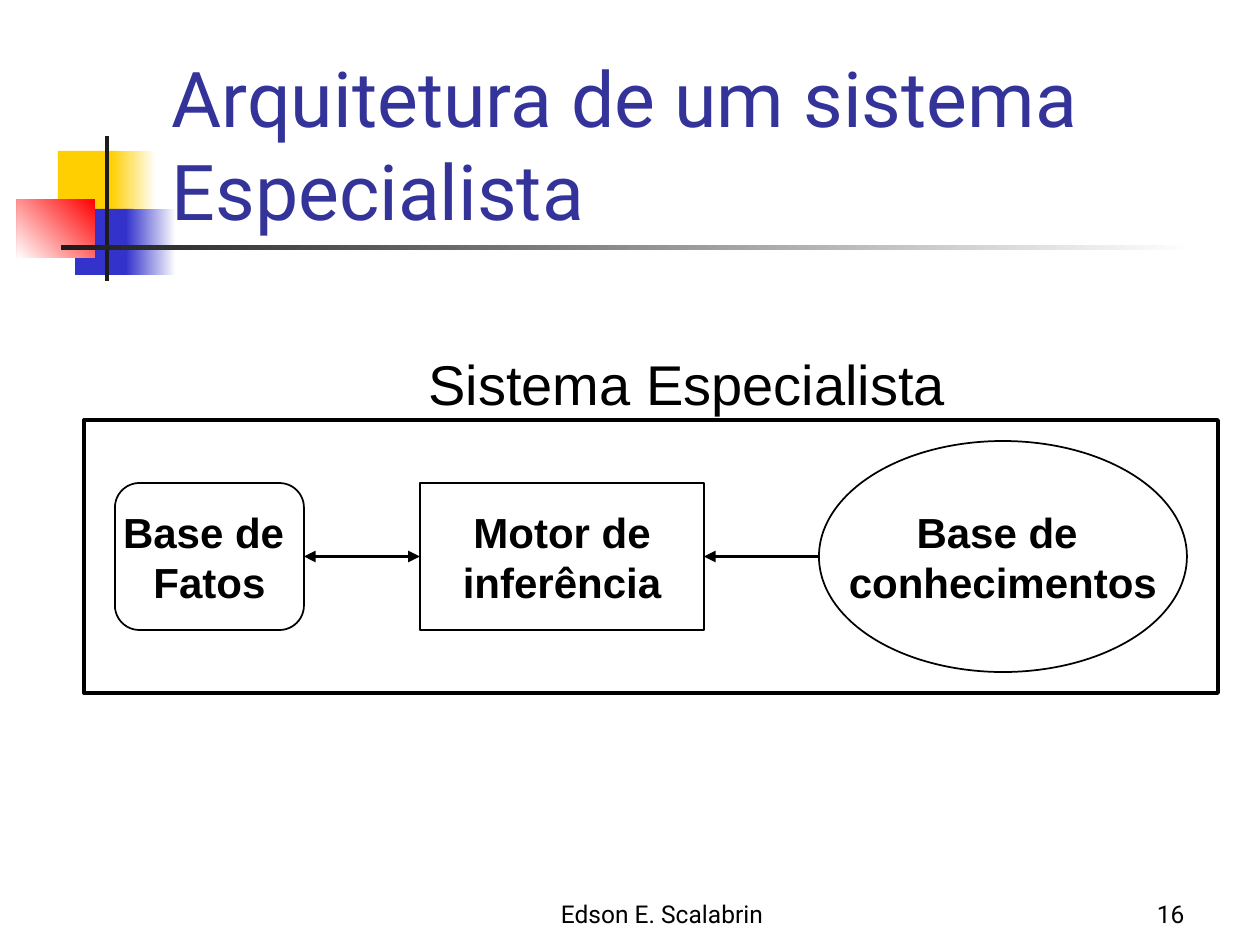
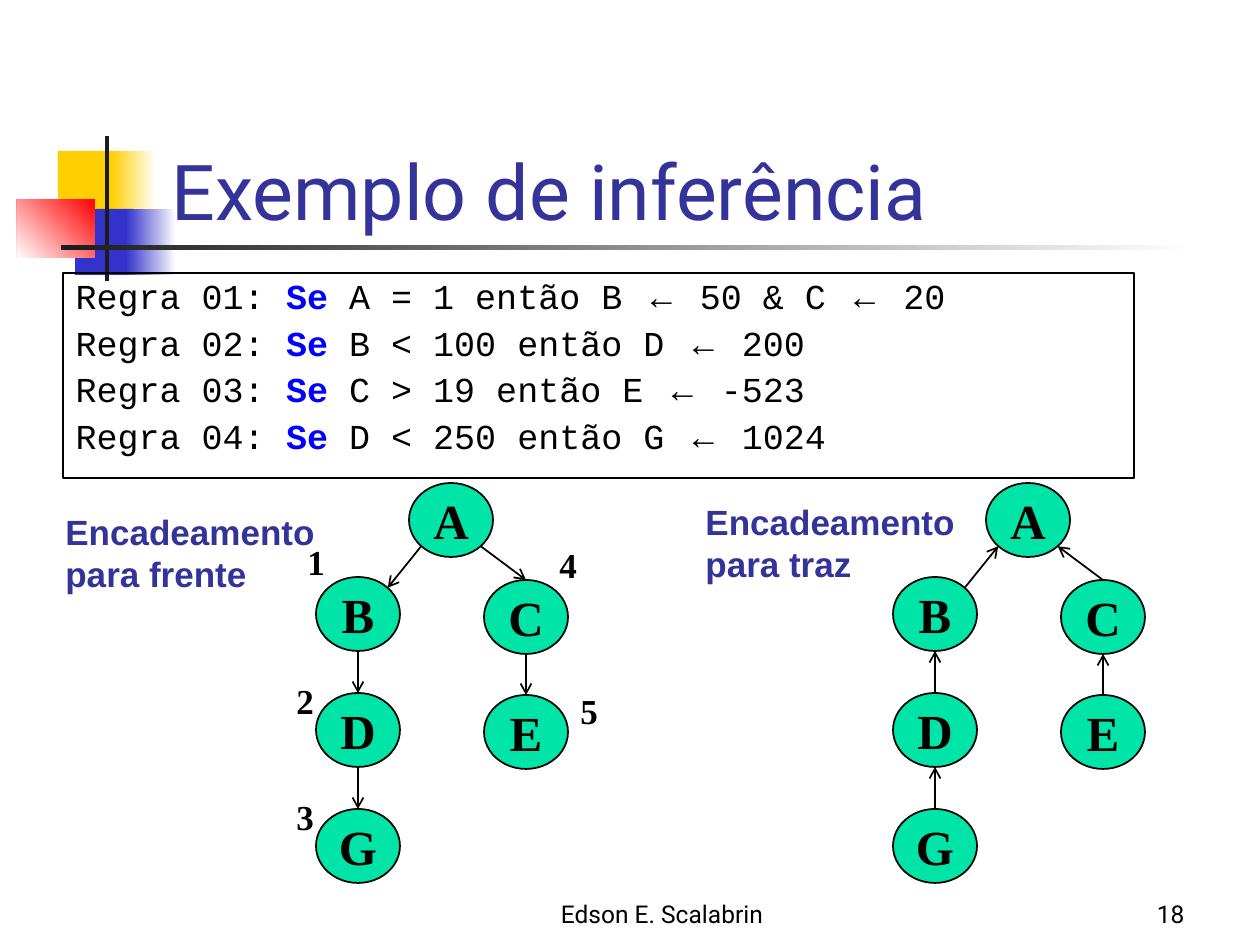
from lxml.etree import SubElement
from pptx import Presentation
from pptx.dml.color import RGBColor
from pptx.enum.shapes import MSO_CONNECTOR, MSO_SHAPE as SHAPE
from pptx.enum.text import MSO_ANCHOR as ANCHOR, MSO_AUTO_SIZE as AUTO, PP_ALIGN as ALIGN
from pptx.oxml.ns import qn
from pptx.util import Emu, Pt

PX = 914400 / 126
BLACK, WHITE, INK = "000000", "FFFFFF", "1C1C1C"
YELLOW, BLUE, RED = "FFCF01", "3333CC", "FF0000"
TITLE_BLUE, KEYWORD_BLUE, NODE_GREEN = "333399", "0000FF", "00E4A8"
AUTHOR = "Edson E. Scalabrin"

# box, fill: one colour, or (start, end, counter-clockwise angle)
ORNAMENT = [
    ((58, 151, 60, 66), YELLOW),
    ((111, 151, 45, 66), (WHITE, YELLOW, 180)),
    ((75, 209, 58, 66), BLUE),
    ((126, 209, 50, 66), (WHITE, BLUE, 180)),
    ((17, 199, 78, 59), (RED, WHITE, 225)),
    ((105, 136, 4, 145), INK),
    ((61, 245, 1134, 5), (WHITE, INK, 180)),
]
TITLE_BOX = (159, 84, 1074, 158)
AUTHOR_BOX = (462, 872, 400, 63)
NUMBER_BOX = (935, 872, 262, 63)

FRAME_BOX = (84, 420, 1134, 273)
FRAME_LABEL = ("Sistema Especialista", (416, 343, 600, 80))
COMPONENTS = {
    "knowledge": (SHAPE.OVAL, (819, 441, 368, 231), "Base de \nconhecimentos"),
    "facts": (SHAPE.ROUNDED_RECTANGLE, (115, 483, 189, 147), "Base de \nFatos"),
    "engine": (SHAPE.RECTANGLE, (420, 483, 284, 147), "Motor de\ninferência"),
}

RULES_BOX = (63, 273, 1071, 205)
RULES = [
    ("Regra 01: ", " A = 1 então B ", " 50 & C ", " 20"),
    ("Regra 02: ", " B < 100 então D ", " 200"),
    ("Regra 03: ", " C > 19 então E ", " -523"),
    ("Regra 04: ", " D < 250 então G ", " 1024"),
]
NODE_W, NODE_H = 84, 74
# offsets from the root node
NODES = {"A": (0, 0), "B": (-93, 94), "G": (-93, 326),
         "D": (-93, 210), "C": (75, 97), "E": (75, 212)}
DOWN, UP = (0, 1), (0, -1)
EDGES = [
    ("A", (-1, 1), "B", (1, -1)),
    ("B", DOWN, "D", UP),
    ("D", DOWN, "G", UP),
    ("A", (1, 1), "C", UP),
    ("C", DOWN, "E", UP),
]
STEPS = {"1": (-114, 51), "2": (-125, 190), "3": (-125, 306),
         "4": (138, 54), "5": (159, 200)}
TREES = [
    dict(root=(986, 483), heads={"head": "arrow"}, steps={},
         label="Encadeamento \npara traz", label_box=(693, 494, 284, 97)),
    dict(root=(409, 483), heads={"tail": "arrow"}, steps=STEPS,
         label="Encadeamento \npara frente", label_box=(53, 504, 284, 97)),
]


def px(*values):
    return [Emu(round(v * PX)) for v in values]


def rgb(color):
    return RGBColor.from_string(color)


def write(shape, text, size=24, font="Arial", color=BLACK, bold=False, align=ALIGN.LEFT,
          anchor=ANCHOR.TOP, wrap=True, auto=AUTO.NONE, before=0, spacing=None):
    """Fill a shape with a string, or with paragraphs of (text, changes) runs."""
    tf = shape.text_frame
    tf.word_wrap, tf.auto_size, tf.vertical_anchor = wrap, auto, anchor
    paragraphs = [[(text, {})]] if isinstance(text, str) else text
    for i, runs in enumerate(paragraphs):
        p = tf.add_paragraph() if i else tf.paragraphs[0]
        p.alignment, p.space_before, p.line_spacing = align, Pt(before), spacing
        for run_text, changes in runs:
            look = {"font": font, "color": color, "bold": bold, **changes}
            for n, line in enumerate(run_text.split("\n")):
                if n:
                    p.add_line_break()
                r = p.add_run()
                r.text = line
                r.font.size, r.font.name, r.font.bold = Pt(size), look["font"], look["bold"]
                r.font.color.rgb = rgb(look["color"])


def add_box(shapes, kind, box, fill, line=None):
    """Add a shape; fill is a colour or (start, end, angle), line a width in points."""
    shape = shapes.add_shape(kind, *px(*box))
    shape.shadow.inherit = False
    if isinstance(fill, str):
        shape.fill.solid()
        shape.fill.fore_color.rgb = rgb(fill)
    else:
        *colors, angle = fill
        shape.fill.gradient()
        shape.fill.gradient_angle = angle
        for stop, color in zip(shape.fill.gradient_stops, colors):
            stop.color.rgb = rgb(color)
    if line:
        shape.line.color.rgb, shape.line.width = rgb(BLACK), Pt(line)
    else:
        shape.line.fill.background()
    return shape


def add_text(shapes, text, box, **look):
    write(shapes.add_textbox(*px(*box)), text, **look)


def add_label(shapes, text, box, **look):
    add_text(shapes, text, box, wrap=False, auto=AUTO.SHAPE_TO_FIT_TEXT, **look)


def add_line(shapes, start, end, width, head=None, tail=None):
    line = shapes.add_connector(MSO_CONNECTOR.STRAIGHT, *px(*start, *end))
    line.line.color.rgb, line.line.width = rgb(BLACK), Pt(width)
    sp_pr = line.element.spPr
    ln = sp_pr.find(qn("a:ln"))
    for tag, kind in (("a:headEnd", head), ("a:tailEnd", tail)):
        if kind:
            SubElement(ln, qn(tag), type=kind)
    SubElement(sp_pr, qn("a:effectLst"))
    return line


def place(s, placeholder, box):
    """Move a placeholder to its box and to the front."""
    placeholder.left, placeholder.top, placeholder.width, placeholder.height = px(*box)
    s.shapes.element.append(placeholder.element)


def add_slide(prs, layout, title, number):
    s = prs.slides.add_slide(prs.slide_layouts[layout])
    for box, fill in ORNAMENT:
        add_box(s.shapes, SHAPE.RECTANGLE, box, fill)
    place(s, s.shapes.title, TITLE_BOX)
    write(s.shapes.title, title, size=44, font="Roboto", color=TITLE_BLUE, anchor=ANCHOR.BOTTOM)
    for text, box, align in ((AUTHOR, AUTHOR_BOX, ALIGN.CENTER),
                             (number, NUMBER_BOX, ALIGN.RIGHT)):
        add_text(s.shapes, text, box, size=14, font="Roboto", align=align, anchor=ANCHOR.BOTTOM)
    return s


def add_architecture(s):
    add_box(s.shapes, SHAPE.RECTANGLE, FRAME_BOX, WHITE, 2.25)
    parts = {}
    for name, (kind, box, text) in COMPONENTS.items():
        parts[name] = add_box(s.shapes, kind, box, WHITE, 1)
        write(parts[name], text, bold=True, align=ALIGN.CENTER,
              anchor=ANCHOR.MIDDLE, wrap=False, before=15)
    x, y, w, h = COMPONENTS["engine"][1]
    middle = y + h / 2
    facts_x, _, facts_w, _ = COMPONENTS["facts"][1]
    knowledge_x = COMPONENTS["knowledge"][1][0]
    to_facts = add_line(s.shapes, (x, middle), (facts_x + facts_w, middle), 2.25,
                        head="triangle", tail="triangle")
    to_facts.begin_connect(parts["engine"], 1)
    to_facts.end_connect(parts["facts"], 3)
    from_knowledge = add_line(s.shapes, (x + w, middle), (knowledge_x, middle), 2.25,
                              head="triangle")
    from_knowledge.begin_connect(parts["engine"], 3)
    text, box = FRAME_LABEL
    add_text(s.shapes, text, box, size=32, before=20)


def add_rules(s):
    body = s.placeholders[1]
    place(s, body, RULES_BOX)
    body.line.color.rgb, body.line.width = rgb(BLACK), Pt(0.75)
    arrow = ("←", {"font": "Arial"})
    paragraphs = []
    for name, condition, *values in RULES:
        runs = [(name, {}), ("Se", {"color": KEYWORD_BLUE, "bold": True}), (condition, {})]
        for value in values:
            runs += [arrow, (value, {})]
        paragraphs.append(runs)
    write(body, paragraphs, size=20, font="Courier New", before=5, spacing=0.9)
    indent = px(210)[0]
    for p in body.text_frame.paragraphs:
        p_pr = p._p.get_or_add_pPr()
        p_pr.set("marL", str(indent))
        p_pr.set("indent", str(-indent))
        SubElement(p_pr, qn("a:buNone"))


def rim_point(corner, direction):
    """Point on a node's rim; a diagonal direction gives the 45 degree point."""
    reach = 0.71 if all(direction) else 1
    return (corner[0] + NODE_W / 2 * (1 + reach * direction[0]),
            corner[1] + NODE_H / 2 * (1 + reach * direction[1]))


def add_tree(s, root, heads, steps, label, label_box):
    shapes = s.shapes.add_group_shape().shapes
    corners = {name: (root[0] + dx, root[1] + dy) for name, (dx, dy) in NODES.items()}
    for name, corner in corners.items():
        node = add_box(shapes, SHAPE.OVAL, (*corner, NODE_W, NODE_H), NODE_GREEN, 1)
        write(node, name, size=28, font="Times New Roman", bold=True, align=ALIGN.CENTER,
              anchor=ANCHOR.MIDDLE, wrap=False, before=17.5)
    for parent, leaving, child, entering in EDGES:
        add_line(shapes, rim_point(corners[parent], leaving),
                 rim_point(corners[child], entering), 1, **heads)
    for step, (dx, dy) in steps.items():
        add_label(shapes, step, (root[0] + dx, root[1] + dy, 43, 55), size=20,
                  font="Times New Roman", bold=True, before=12.5)
    add_label(s.shapes, label, label_box, size=20, color=TITLE_BLUE, bold=True, before=12.5)


def main():
    prs = Presentation()
    prs.slide_width, prs.slide_height = px(1260, 945)
    add_architecture(add_slide(prs, 5, "Arquitetura de um sistema Especialista", "16"))
    s = add_slide(prs, 1, "Exemplo de inferência", "18")
    add_rules(s)
    for tree in TREES:
        add_tree(s, **tree)
    prs.save("out.pptx")


if __name__ == "__main__":
    main()
